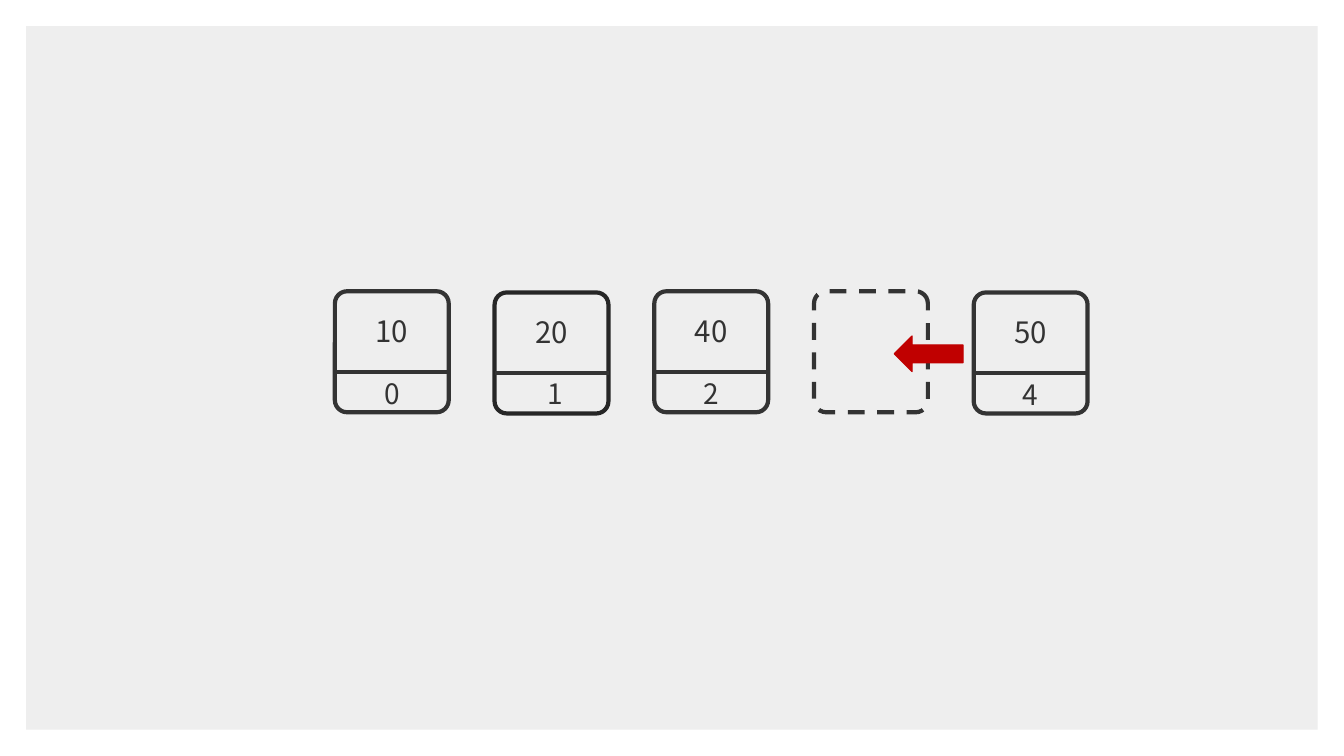
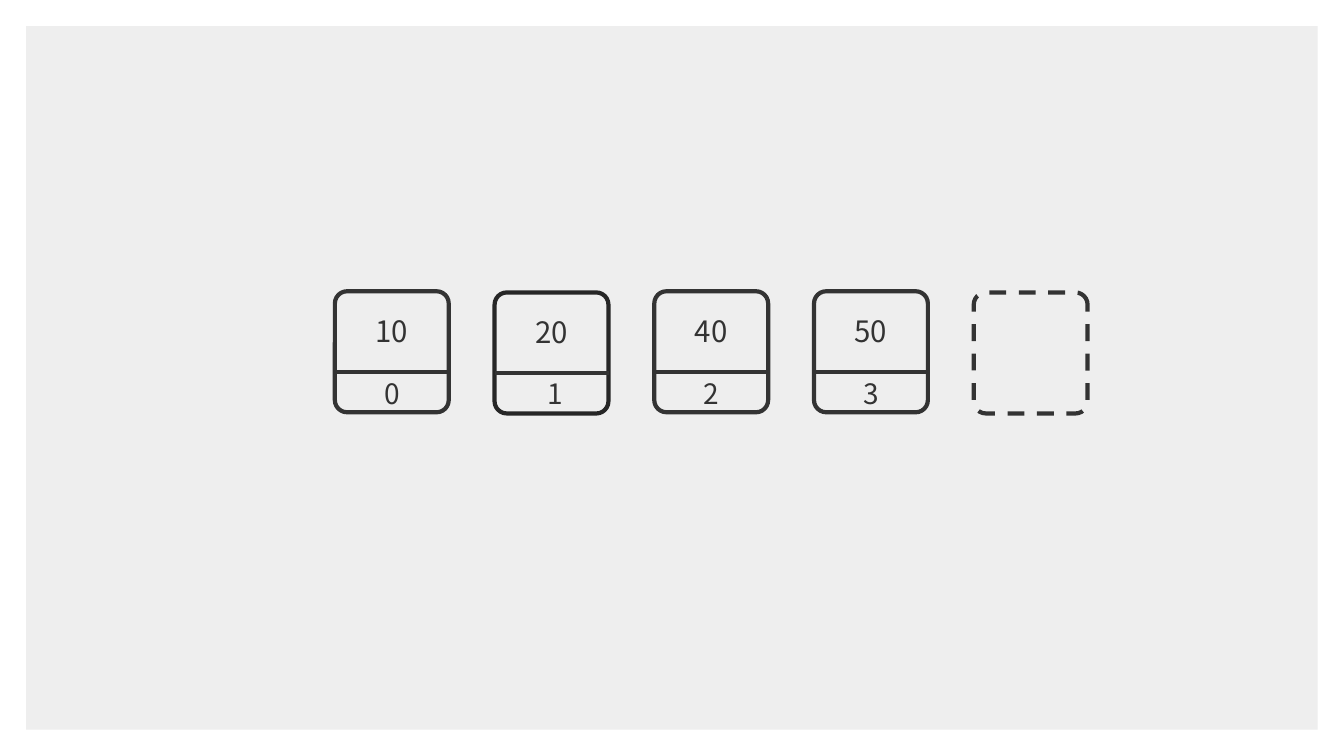
"""Draw an array closing the gap after an element is deleted."""
from dataclasses import dataclass

from lxml.etree import SubElement
from pptx import Presentation
from pptx.dml.color import RGBColor
from pptx.enum.dml import MSO_LINE
from pptx.enum.shapes import MSO_CONNECTOR, MSO_SHAPE
from pptx.enum.text import MSO_ANCHOR, MSO_AUTO_SIZE, PP_ALIGN
from pptx.oxml.ns import qn
from pptx.shapes.autoshape import Shape
from pptx.shapes.shapetree import GroupShapes
from pptx.slide import Slide, SlideLayout
from pptx.util import Cm, Pt

FONT = "Noto Sans CJK KR"
PANEL_GREY = RGBColor(0xEE, 0xEE, 0xEE)
INK = RGBColor(0x33, 0x33, 0x33)
DARK_INK = RGBColor(0x26, 0x26, 0x26)
RED = RGBColor(0xC0, 0x00, 0x00)

MARGIN = 0.66
SLIDE_WIDTH, SLIDE_HEIGHT = 33.87, 19.05
ROW_LEFT, ROW_TOP, PITCH = 8.44, 7.34, 4.025
CELL_WIDTH, CELL_HEIGHT, CORNER = 2.87, 3.05, 0.107
DIVIDER_OFFSET, VALUE_OFFSET = 2.03, 0.43
LINE_WIDTH = Pt(3)


@dataclass(frozen=True)
class Cell:
    """One array slot; a slot without a value is empty."""
    index: int
    value: str = ""
    drop: float = 0
    index_shift: float = 0
    index_drop: float = 0
    outline: RGBColor = INK

    @property
    def left(self) -> float:
        return ROW_LEFT + self.index * PITCH

    @property
    def top(self) -> float:
        return ROW_TOP + self.drop


@dataclass(frozen=True)
class Arrow:
    """An up arrow turned to point left."""
    left: float
    top: float
    width: float
    height: float


@dataclass(frozen=True)
class Step:
    """The state of the array on one slide."""
    cells: tuple[Cell, ...]
    arrows: tuple[Arrow, ...] = ()


KEPT = (
    Cell(0, "10"),
    Cell(1, "20", drop=0.03, index_shift=0.09, outline=DARK_INK),
    Cell(2, "40"),
)
STEPS = (
    Step(KEPT + (Cell(3), Cell(4, "50", drop=0.03, index_drop=0.03)),
         (Arrow(22.96, 8.05, 0.89, 1.73),)),
    Step(KEPT + (Cell(3, "50"), Cell(4, drop=0.03))),
)


def add_panel(page: Slide, layout: SlideLayout) -> None:
    """Move one grey panel into the layout that all slides share."""
    panel = page.shapes.add_shape(
        MSO_SHAPE.RECTANGLE, Cm(MARGIN), Cm(MARGIN),
        Cm(SLIDE_WIDTH - 2 * MARGIN), Cm(SLIDE_HEIGHT - 2 * MARGIN))
    panel.shadow.inherit = False
    panel.fill.solid()
    panel.fill.fore_color.rgb = PANEL_GREY
    panel.line.fill.background()
    panel.element.nvSpPr.cNvPr.set("id", "100")
    layout.shapes.element.insert(2, panel.element)


def add_outline(shapes: GroupShapes, cell: Cell) -> Shape:
    """Draw the rounded frame of a cell."""
    frame = shapes.add_shape(
        MSO_SHAPE.ROUNDED_RECTANGLE, Cm(cell.left), Cm(cell.top),
        Cm(CELL_WIDTH), Cm(CELL_HEIGHT))
    frame.adjustments[0] = CORNER
    frame.element.spPr.get_or_add_xfrm().set("flipH", "1")
    frame.shadow.inherit = False
    frame.fill.background()
    frame.line.color.rgb = cell.outline
    frame.line.width = LINE_WIDTH
    return frame


def add_divider(shapes: GroupShapes, cell: Cell) -> None:
    """Draw the line between the value and the index."""
    height = Cm(cell.top + DIVIDER_OFFSET)
    divider = shapes.add_connector(
        MSO_CONNECTOR.STRAIGHT, Cm(cell.left), height,
        Cm(cell.left + CELL_WIDTH), height)
    divider.line.color.rgb = INK
    divider.line.width = LINE_WIDTH
    SubElement(divider.element.spPr, qn("a:effectLst"))


def add_number(shapes: GroupShapes, text: str, left: float, top: float,
               height: float, size: int, anchor: MSO_ANCHOR) -> None:
    """Write one centred number."""
    box = shapes.add_textbox(Cm(left), Cm(top), Cm(CELL_WIDTH), Cm(height))
    frame = box.text_frame
    frame.text = text
    frame.word_wrap = True
    frame.auto_size = MSO_AUTO_SIZE.SHAPE_TO_FIT_TEXT
    frame.vertical_anchor = anchor
    para = frame.paragraphs[0]
    para.alignment = PP_ALIGN.CENTER
    span = para.runs[0]
    span.font.name = FONT
    span.font.size = Pt(size)
    span.font.color.rgb = INK


def add_cell(page: Slide, cell: Cell) -> None:
    """Draw a filled cell as a group, or an empty one as a dashed frame."""
    if not cell.value:
        add_outline(page.shapes, cell).line.dash_style = MSO_LINE.DASH
        return
    shapes = page.shapes.add_group_shape().shapes
    add_outline(shapes, cell)
    add_divider(shapes, cell)
    add_number(shapes, str(cell.index), cell.left + cell.index_shift,
               ROW_TOP + DIVIDER_OFFSET + cell.index_drop,
               1.12, 20, MSO_ANCHOR.TOP)
    add_number(shapes, cell.value, cell.left, cell.top + VALUE_OFFSET,
               1.14, 21, MSO_ANCHOR.MIDDLE)


def add_arrow(page: Slide, arrow: Arrow) -> None:
    """Draw a red arrow pointing left."""
    pointer = page.shapes.add_shape(
        MSO_SHAPE.UP_ARROW, Cm(arrow.left), Cm(arrow.top),
        Cm(arrow.width), Cm(arrow.height))
    pointer.rotation = 270
    pointer.shadow.inherit = False
    pointer.fill.solid()
    pointer.fill.fore_color.rgb = RED
    pointer.line.color.rgb = RED
    pointer.line.width = Pt(1)


def main() -> None:
    """Build and save the deck."""
    deck = Presentation()
    deck.slide_width, deck.slide_height = Cm(SLIDE_WIDTH), Cm(SLIDE_HEIGHT)
    blank = deck.slide_layouts[6]
    pages = [deck.slides.add_slide(blank) for _ in STEPS]
    add_panel(pages[0], blank)
    for page, step in zip(pages, STEPS):
        for cell in step.cells:
            add_cell(page, cell)
        for arrow in step.arrows:
            add_arrow(page, arrow)
    deck.save("out.pptx")


main()
